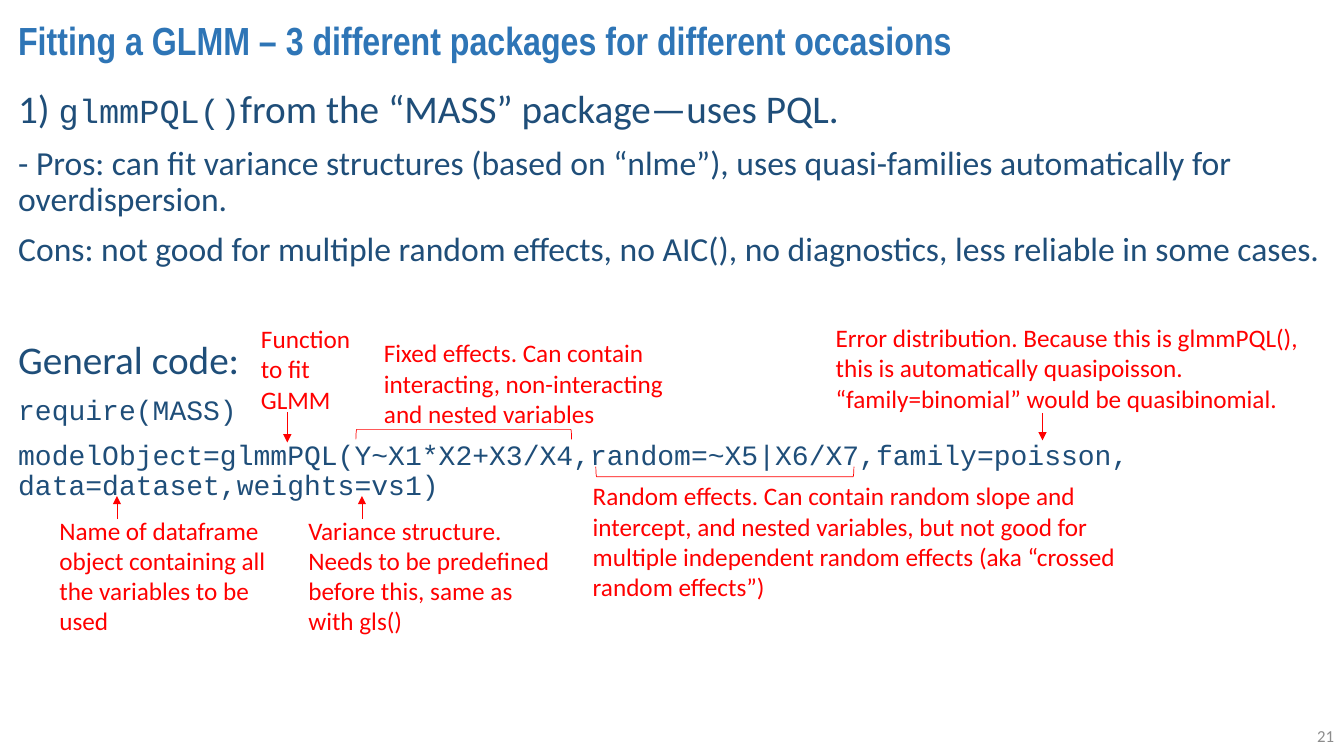
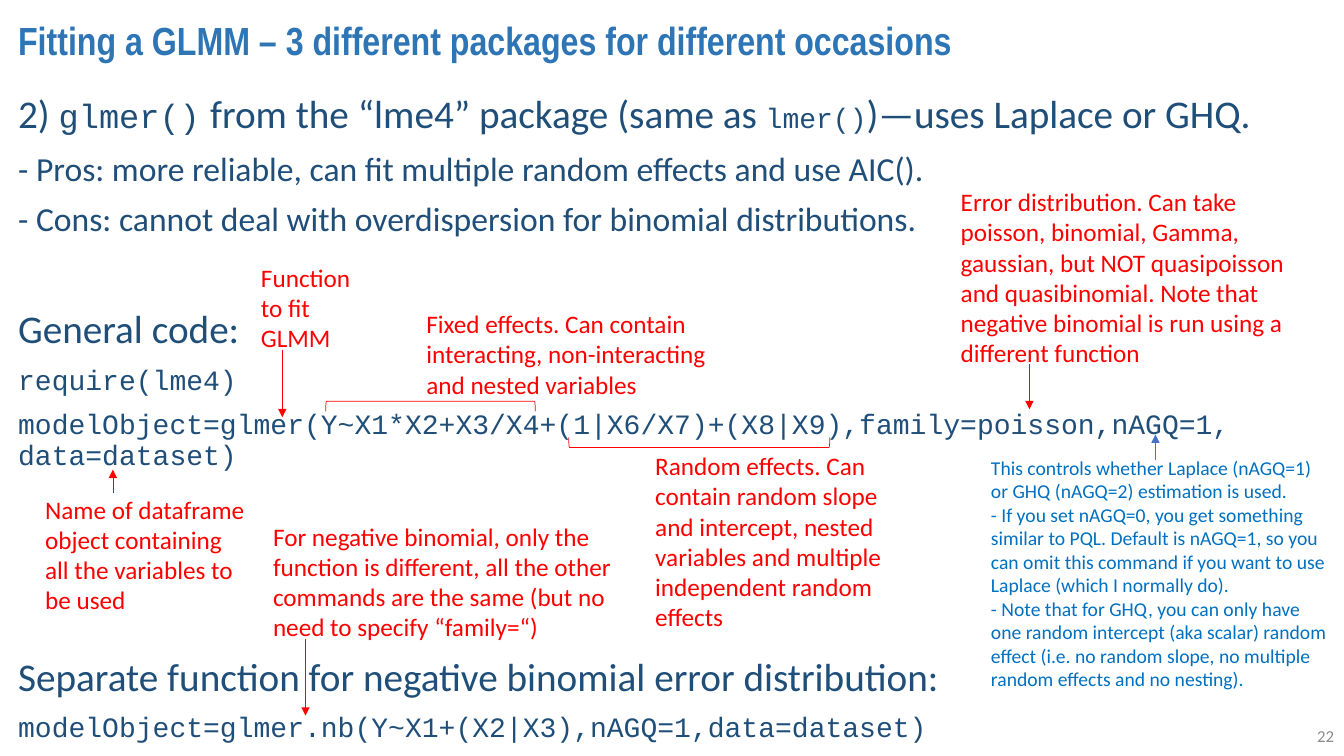
"""Build two slides on fitting GLMMs with glmmPQL() and glmer()."""
from lxml.etree import SubElement
from pptx import Presentation
from pptx.dml.color import RGBColor
from pptx.enum.shapes import MSO_CONNECTOR, MSO_SHAPE
from pptx.enum.text import MSO_ANCHOR, MSO_AUTO_SIZE, PP_ALIGN
from pptx.oxml.ns import qn
from pptx.util import Inches, Pt

TITLE_BLUE = RGBColor(0x2E, 0x75, 0xB6)
BODY_BLUE = RGBColor(0x1F, 0x4E, 0x79)
NOTE_BLUE = RGBColor(0x00, 0x70, 0xC0)
ARROW_BLUE = RGBColor(0x44, 0x72, 0xC4)
RED = RGBColor(0xFF, 0x00, 0x00)
GREY = RGBColor(0x8C, 0x8C, 0x8C)

TEXT, MONO, NARROW = "Calibri", "Courier New", "Arial Narrow"
HEADING, POINT = (28, TEXT), (24, TEXT)
FUNCTION, CODE = (24, MONO), (20, MONO)
WIDE_GAP = (32, TEXT, True)
GAP, SKIPPED_LINE = 10, 41
BRACKET_DEPTH = 0.1

TITLE = "Fitting a GLMM – 3 different packages for different occasions"
FIXED = "Fixed effects. Can contain interacting, non-interacting and nested variables"
FITTER = "Function to fit GLMM"
DATAFRAME = "Name of dataframe object containing all the variables to be used"

SLIDES = [
    {
        "number": "21",
        "body": [
            (0, [("1) ", HEADING), ("glmmPQL()", FUNCTION),
                 ("from the “MASS” package—uses PQL.", HEADING)]),
            (0, [("- Pros: can fit variance structures (based on “nlme”), uses "
                  "quasi-families automatically for overdispersion.", POINT)]),
            (0, [("Cons: not good for multiple random effects, no AIC(), no "
                  "diagnostics, less reliable in some cases.", POINT)]),
            (1, [("General code:", HEADING)]),
            (0, [("require(MASS)", CODE)]),
            (0, [("modelObject=glmmPQL(Y~X1*X2+X3/X4,random=~X5|X6/X7,"
                  "family=poisson, data=dataset,weights=vs1)", CODE)]),
        ],
        "notes": [
            ((8.19, 3.15, 4.8, 1.01),
             ["Error distribution. Because this is glmmPQL(), this is automatically "
              "quasipoisson. “family=binomial” would be quasibinomial."]),
            ((3.71, 3.3, 3.1, 1.01), [FIXED]),
            ((2.49, 3.16, 1.09, 1.01), [FITTER]),
            ((0.49, 5.06, 2.25, 1.31), [DATAFRAME]),
            ((5.78, 4.72, 5.65, 1.31),
             ["Random effects. Can contain random slope and intercept, and nested "
              "variables, but not good for multiple independent random effects "
              "(aka “crossed random effects”)"]),
            ((2.96, 5.06, 2.67, 1.31),
             ["Variance structure. Needs to be predefined before this, same as "
              "with gls()"]),
        ],
        "brackets": [(MSO_SHAPE.RIGHT_BRACKET, 3.53, 4.26, 2.14),
                     (MSO_SHAPE.LEFT_BRACKET, 5.91, 4.63, 2.56)],
        "arrows": [(2.85, 4.09, 4.39), (1.16, 5.15, 4.92),
                   (10.34, 4.1, 4.37), (3.59, 5.15, 4.92)],
    },
    {
        "number": "22",
        "body": [
            (0, [("2) ", HEADING), ("glmer()", FUNCTION), (" ", WIDE_GAP),
                 ("from the “lme4” package (same as ", HEADING),
                 ("lmer()", CODE), (")—uses Laplace or GHQ.", HEADING)]),
            (0, [("- Pros: more reliable, can fit multiple random effects and "
                  "use AIC().", POINT)]),
            (0, [("- Cons: cannot deal with overdispersion for binomial "
                  "distributions.", POINT)]),
            (1, [("General code:", HEADING)]),
            (0, [("require(lme4)", CODE)]),
            (0, [("modelObject=glmer(Y~X1*X2+X3/X4+(1|X6/X7)+(X8|X9),"
                  "family=poisson,nAGQ=1, data=dataset)", CODE)]),
            (3, [("Separate function for negative binomial error distribution:",
                  HEADING)]),
            (0, [("modelObject=glmer.nb(Y~X1+(X2|X3),nAGQ=1,data=dataset)", CODE)]),
        ],
        "notes": [
            ((9.43, 1.8, 3.58, 1.92),
             ["Error distribution. Can take poisson, binomial, Gamma, gaussian, but "
              "NOT quasipoisson and quasibinomial. Note that negative binomial is "
              "run using a different function"]),
            ((4.13, 3.01, 3.12, 1.01), [FIXED]),
            ((2.49, 2.55, 1.09, 1.01), [FITTER]),
            ((0.35, 4.85, 2.2, 1.31), [DATAFRAME]),
            ((6.4, 4.42, 2.69, 1.92),
             ["Random effects. Can contain random slope and intercept, nested "
              "variables and multiple independent random effects"]),
            ((9.73, 4.47, 3.58, 2.46),
             ["This controls whether Laplace (nAGQ=1) or GHQ (nAGQ=2) estimation "
              "is used.",
              "- If you set nAGQ=0, you get something similar to PQL. Default is "
              "nAGQ=1, so you can omit this command if you want to use Laplace "
              "(which I normally do).",
              "- Note that for GHQ, you can only have one random intercept (aka "
              "scalar) random effect (i.e. no random slope, no multiple random "
              "effects and no nesting)."], 14, NOTE_BLUE),
            ((2.61, 5.12, 3.67, 1.31),
             ["For negative binomial, only the function is different, all the other "
              "commands are the same (but no need to specify “family=“)"]),
        ],
        "brackets": [(MSO_SHAPE.RIGHT_BRACKET, 3.23, 3.98, 2.08),
                     (MSO_SHAPE.LEFT_BRACKET, 5.64, 4.34, 2.59)],
        "arrows": [(2.8, 3.47, 4.14), (1.12, 4.89, 4.66), (10.21, 3.61, 4.06),
                   (11.46, 4.56, 4.31, ARROW_BLUE), (3.03, 6.34, 7.1)],
    },
]


def place(shape, left, top, width, height):
    shape.left, shape.top = Inches(left), Inches(top)
    shape.width, shape.height = Inches(width), Inches(height)


def add_span(para, text, color, size, font, bold=False):
    span = para.add_run()
    span.text = text
    span.font.size, span.font.name, span.font.bold = Pt(size), font, bold
    span.font.color.rgb = color


def paragraphs(frame, count):
    return [frame.paragraphs[0]] + [frame.add_paragraph() for _ in range(count - 1)]


def fill_title(title):
    frame = title.text_frame
    frame.auto_size = MSO_AUTO_SIZE.NONE
    frame.vertical_anchor = MSO_ANCHOR.MIDDLE
    para = frame.paragraphs[0]
    para.alignment, para.line_spacing = PP_ALIGN.LEFT, 0.9
    add_span(para, TITLE, TITLE_BLUE, 28, NARROW, True)


def fill_body(body, lines):
    frame = body.text_frame
    frame.auto_size = MSO_AUTO_SIZE.NONE
    for index, (para, (skipped, spans)) in enumerate(
            zip(paragraphs(frame, len(lines)), lines)):
        props = para._p.get_or_add_pPr()
        props.set("marL", "0")
        props.set("indent", "0")
        SubElement(props, qn("a:buNone"))
        para.line_spacing = 0.9
        para.space_before = Pt(GAP + skipped * SKIPPED_LINE if index else 0)
        for text, style in spans:
            add_span(para, text, BODY_BLUE, *style)


def add_note(page, area, lines, size=18, color=RED):
    box = page.shapes.add_textbox(*map(Inches, area))
    frame = box.text_frame
    frame.word_wrap = True
    frame.auto_size = MSO_AUTO_SIZE.SHAPE_TO_FIT_TEXT
    for para, text in zip(paragraphs(frame, len(lines)), lines):
        add_span(para, text, color, size, TEXT)


def add_bracket(page, kind, left, top, span):
    shift = (span - BRACKET_DEPTH) / 2
    bracket = page.shapes.add_shape(kind, Inches(left + shift), Inches(top - shift),
                                    Inches(BRACKET_DEPTH), Inches(span))
    bracket.rotation = 270
    bracket.shadow.inherit = False
    bracket.fill.background()
    bracket.line.color.rgb, bracket.line.width = RED, Pt(0.5)


def add_arrow(page, x, start, end, color=RED):
    arrow = page.shapes.add_connector(MSO_CONNECTOR.STRAIGHT, Inches(x),
                                      Inches(start), Inches(x), Inches(end))
    arrow.line.color.rgb, arrow.line.width = color, Pt(0.5)
    SubElement(arrow.line._get_or_add_ln(), qn("a:tailEnd"), type="triangle")
    SubElement(arrow._element.spPr, qn("a:effectLst"))


def add_number(page, number):
    box = page.shapes.add_textbox(*map(Inches, (10.33, 7.1, 3, 0.4)))
    frame = box.text_frame
    frame.word_wrap = True
    frame.vertical_anchor = MSO_ANCHOR.MIDDLE
    para = frame.paragraphs[0]
    para.alignment = PP_ALIGN.RIGHT
    add_span(para, number, GREY, 12, TEXT)


def main():
    deck = Presentation()
    deck.slide_width, deck.slide_height = Inches(13.33), Inches(7.5)
    layout = deck.slide_layouts[1]
    place(layout.placeholders[0], 0.08, 0.12, 13.16, 0.6)
    place(layout.placeholders[1], 0.08, 0.84, 13.16, 6.64)
    for content in SLIDES:
        page = deck.slides.add_slide(layout)
        fill_title(page.shapes.title)
        fill_body(page.placeholders[1], content["body"])
        add_number(page, content["number"])
        for bracket in content["brackets"]:
            add_bracket(page, *bracket)
        for note in content["notes"]:
            add_note(page, *note)
        for arrow in content["arrows"]:
            add_arrow(page, *arrow)
    deck.save("out.pptx")


if __name__ == "__main__":
    main()
